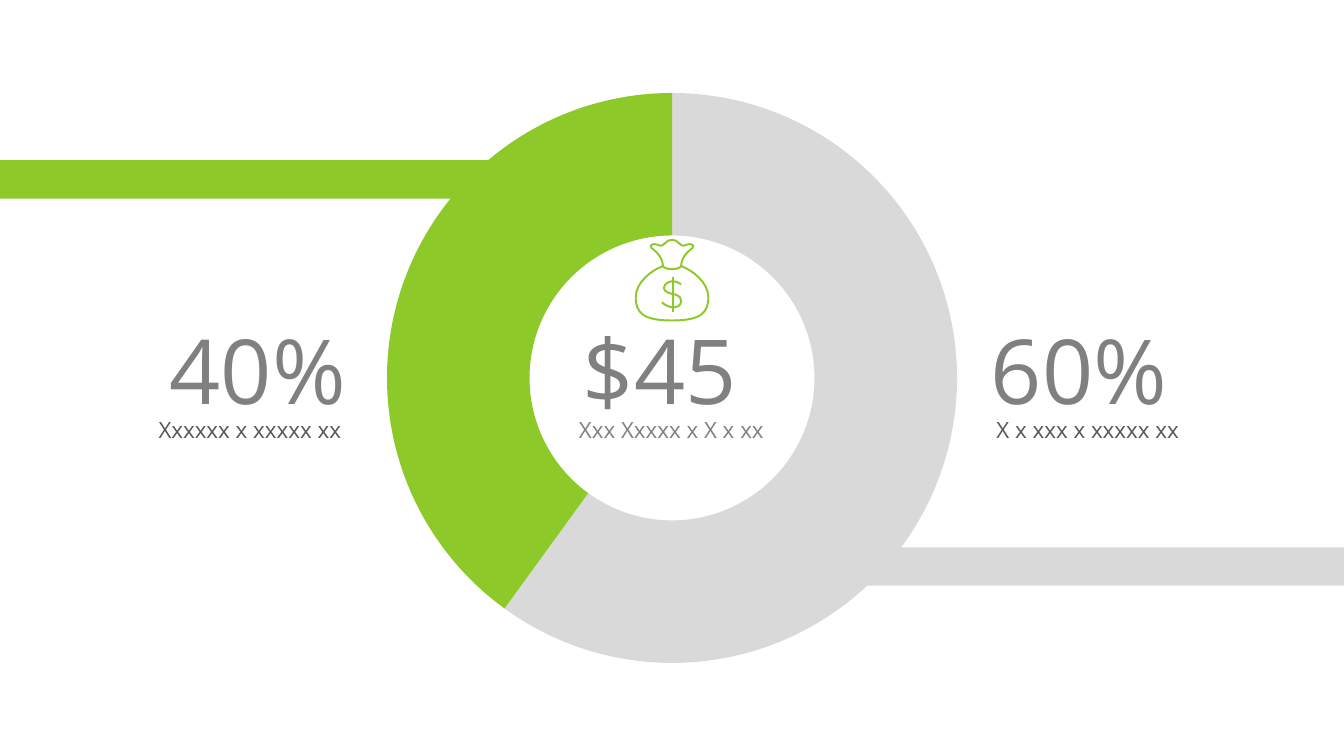
from dataclasses import dataclass

from lxml import etree
from pptx import Presentation, util as u
from pptx.chart.data import CategoryChartData
from pptx.dml.color import RGBColor
from pptx.enum import chart, shapes, text


@dataclass(frozen=True)
class Theme:
    green: str = "8DC928"
    silver: str = "D9D9D9"
    gray: str = "808080"
    dark: str = "57565A"
    font: str = "Open Sans"
    figure: int = 64
    caption: int = 16
    chart_size: int = 18
    stroke: float = 1.38


class SlideBuilder:
    """Draws themed elements on one page, placed in percent of its size."""

    def __init__(self, deck, theme):
        self.deck, self.theme = deck, theme
        self.page = deck.slides.add_slide(deck.slide_layouts[6])

    def place(self, left, top, width, height):
        across, down = self.deck.slide_width / 100, self.deck.slide_height / 100
        return [u.Emu(round(v)) for v in
                (left * across, top * down, width * across, height * down)]

    def doughnut(self, frame, values, colors, hole):
        data = CategoryChartData()
        data.categories = [str(i + 1) for i in range(len(values))]
        data.add_series("Series 1", values)
        ring = self.page.shapes.add_chart(
            chart.XL_CHART_TYPE.DOUGHNUT, *self.place(*frame), data).chart
        ring.has_legend = ring.has_title = False
        ring.font.name = self.theme.font
        ring.font.size = u.Pt(self.theme.chart_size)
        ring.font.color.rgb = RGBColor.from_string(self.theme.dark)
        plot = ring.plots[0]
        plot.vary_by_categories = True
        plot.has_data_labels = False
        for i, color in enumerate(colors):
            look = plot.series[0].points[i].format
            look.fill.solid()
            look.fill.fore_color.rgb = RGBColor.from_string(color)
            look.line.fill.background()
        for size in ring.element.iter("{*}holeSize"):
            size.set("val", str(hole))

    def bar(self, frame, color):
        box = self.page.shapes.add_shape(shapes.MSO_SHAPE.RECTANGLE, *self.place(*frame))
        box.shadow.inherit = False
        box.fill.solid()
        box.fill.fore_color.rgb = RGBColor.from_string(color)
        box.line.fill.background()

    def label(self, frame, words, size, color, align):
        box = self.page.shapes.add_textbox(*self.place(*frame))
        box.text_frame.word_wrap = True
        box.text_frame.auto_size = text.MSO_AUTO_SIZE.SHAPE_TO_FIT_TEXT
        para = box.text_frame.paragraphs[0]
        para.text = words
        para.alignment = align
        para.font.name = self.theme.font
        para.font.size = u.Pt(size)
        para.font.color.rgb = RGBColor.from_string(color)

    def icon_points(self, points):
        unit = self.deck.slide_width / 1333
        center, top = self.place(50, 31.73, 0, 0)[:2]
        return [(round(center + x * unit), round(top + y * unit)) for x, y in points]

    def ink(self, line):
        line.color.rgb = RGBColor.from_string(self.theme.green)
        line.width = u.Pt(self.theme.stroke)

    def curve(self, group, controls, close=False):
        points = self.icon_points(controls)
        builder = group.shapes.build_freeform(*points[0])
        builder.add_line_segments(points[1:], close=close)
        outline = builder.convert_to_shape()
        outline.shadow.inherit = False
        outline.fill.background()
        self.ink(outline.line)
        segments = list(outline.element.iter("{*}lnTo"))
        namespace = outline.element.nsmap["a"]
        for i in range(0, len(segments), 3):
            bend = etree.Element(f"{{{namespace}}}cubicBezTo")
            segments[i].addprevious(bend)
            for segment in segments[i:i + 3]:
                bend.append(segment[0])
                segment.getparent().remove(segment)

    def stem(self, group, start, end):
        begin, finish = self.icon_points([start, end])
        line = group.shapes.add_connector(
            shapes.MSO_CONNECTOR.STRAIGHT, *begin, *finish)
        self.ink(line.line)
        properties = line.element.spPr
        namespace = properties.nsmap["a"]
        etree.SubElement(properties, f"{{{namespace}}}effectLst")

    def money_bag(self):
        half = [(0, 0), (3, 0), (5, 1), (6.5, 3), (8.5, 5), (10.5, 7), (14, 5),
                (18, 3), (23, 5), (20.5, 8), (19, 9), (9, 16), (9, 26),
                (20, 30), (36, 42), (36, 57), (36, 72), (29, 80), (0, 80)]
        dollar = [(9, 44), (7, 43), (4, 41), (1, 41), (-2, 41), (-8, 43), (-8, 48),
                  (-8, 52), (-1, 53), (1, 54), (3, 54), (9, 55), (9, 61),
                  (9, 66), (4, 67), (1, 67), (-2, 67), (-7, 65), (-10, 62)]
        band = [(9, 26), (9, 26), (8, 29), (0, 29), (-8, 29), (-9, 26), (-9, 26)]
        group = self.page.shapes.add_group_shape()
        self.curve(group, dollar)
        self.stem(group, (1, 37), (1, 72))
        self.curve(group, band)
        self.curve(group, half + [(-x, y) for x, y in half[-2::-1]], close=True)


def main():
    deck = Presentation()
    deck.slide_width, deck.slide_height = u.Inches(13.33), u.Inches(7.5)
    theme = Theme()
    slide = SlideBuilder(deck, theme)
    slide.doughnut((16.67, 10.46, 66.67, 79.07), (60, 40),
                   (theme.silver, theme.green), 82)
    slide.bar((-7.28, 21.2, 45.39, 5.07), theme.green)
    align = text.PP_ALIGN
    labels = [
        (73, 24.45, "60%", 73.4, 19.95, "X x xxx x xxxxx xx", theme.dark, align.LEFT),
        (2.03, 24.45, "40%", -1.95, 28.06, "Xxxxxx x xxxxx xx", theme.dark, align.RIGHT),
        (37.73, 24.45, "$45 ", 37.73, 24.45, "Xxx Xxxxx x X x xx", theme.gray, align.CENTER),
    ]
    for left, width, figure, caption_left, caption_width, caption, color, side in labels:
        slide.label((left, 41, width, 15.73), figure, theme.figure, theme.gray, side)
        slide.label((caption_left, 54.4, caption_width, 4.93), caption,
                    theme.caption, color, side)
    slide.bar((61.74, 72.4, 45.39, 5.07), theme.silver)
    slide.money_bag()
    deck.save("out.pptx")


if __name__ == "__main__":
    main()
